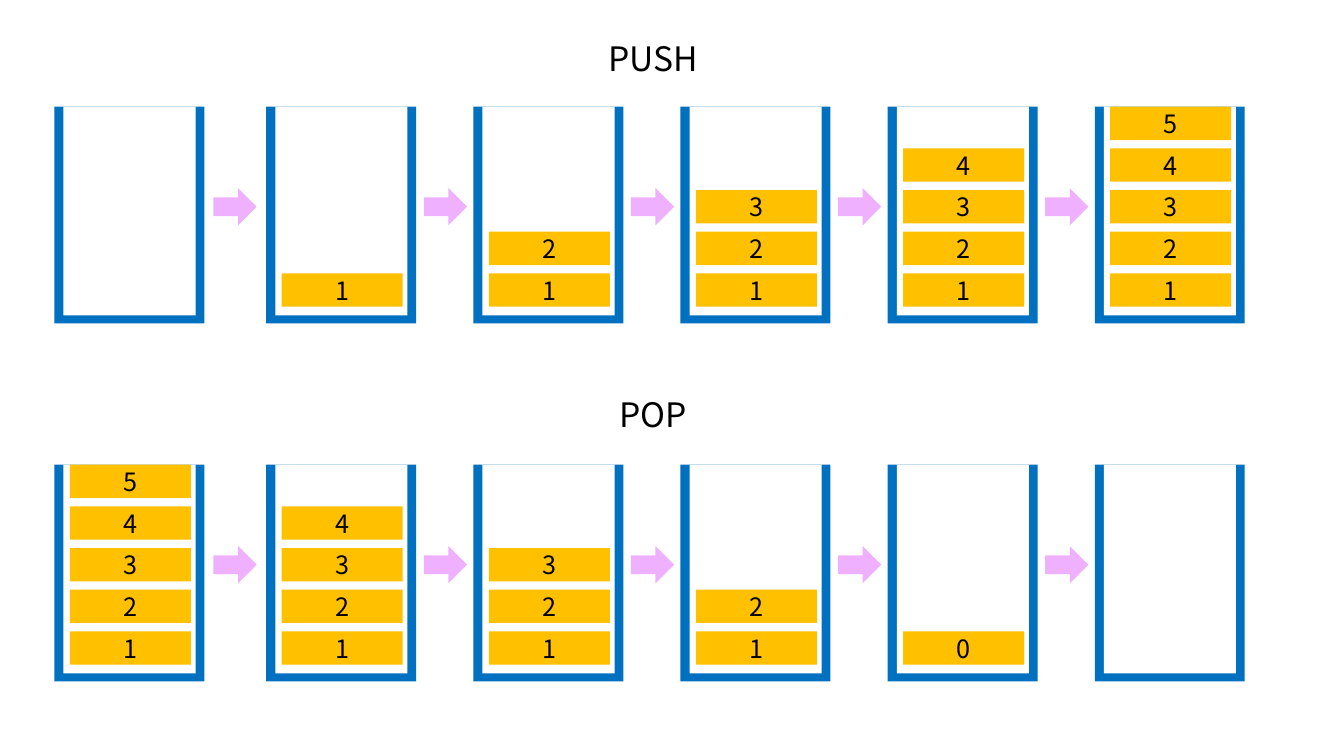
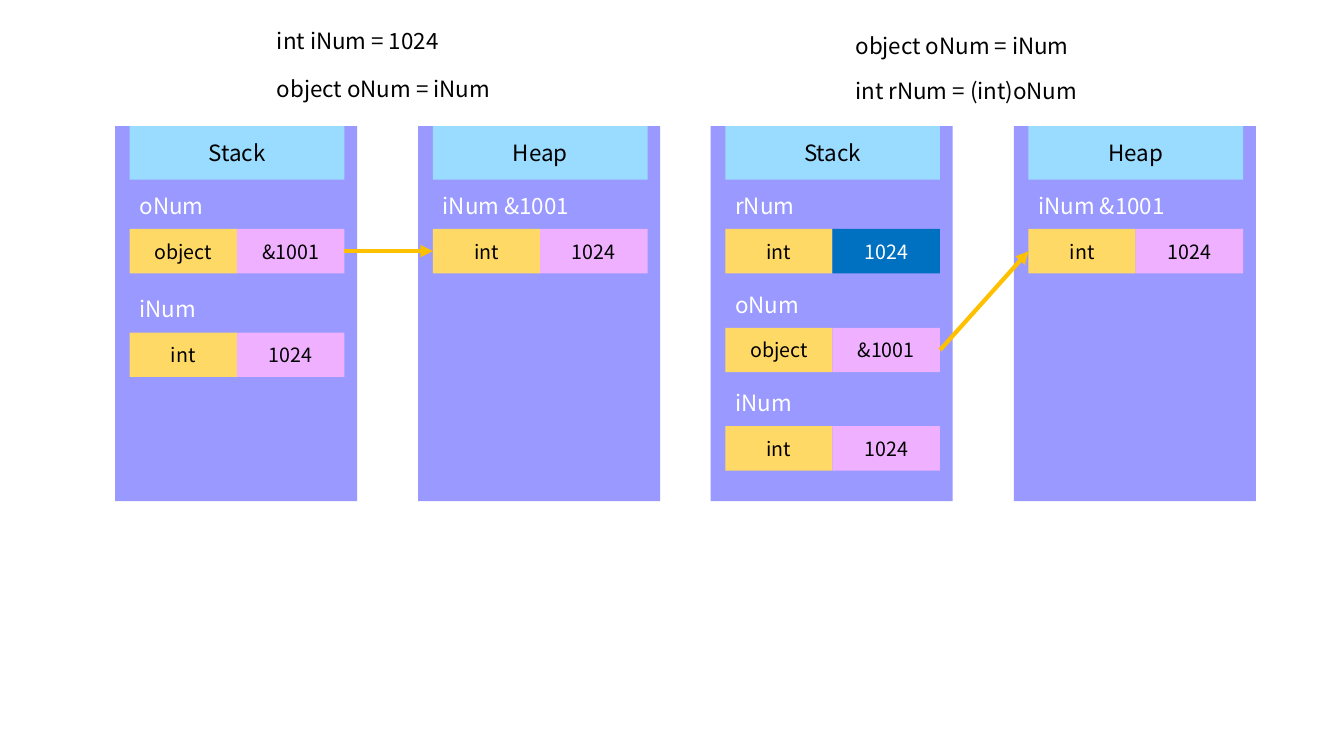
"""Build two slides: stack push and pop, then boxing and unboxing in memory."""
from lxml import etree
from pptx import Presentation
from pptx import util as u
from pptx.dml import color
from pptx.enum import shapes, text
from pptx.oxml import ns

FONT = "Noto Sans CJK KR"
BLACK, WHITE, BLUE = "000000", "FFFFFF", "0070C0"
AMBER, PINK, SAND = "FFC000", "EFB1FF", "FFD966"
LILAC, SKY = "9999FF", "9ADCFF"
RECT, ARROW = shapes.MSO_SHAPE.RECTANGLE, shapes.MSO_SHAPE.RIGHT_ARROW
LEFT, CENTER = text.PP_ALIGN.LEFT, text.PP_ALIGN.CENTER
rgb = color.RGBColor.from_string


def box(slide, x, y, w, h, fill=None, kind=RECT):
    place = [u.Cm(v) for v in (x, y, w, h)]
    if fill is None:
        return slide.shapes.add_textbox(*place)
    shape = slide.shapes.add_shape(kind, *place)
    shape.shadow.inherit = False
    shape.fill.solid()
    shape.fill.fore_color.rgb = rgb(fill)
    shape.line.fill.background()
    shape.text_frame.vertical_anchor = text.MSO_ANCHOR.MIDDLE
    return shape


def write(shape, words, size=16, ink=BLACK, align=CENTER):
    frame = shape.text_frame
    frame.word_wrap = True
    para = frame.paragraphs[0]
    para.alignment = align
    run = para.add_run()
    run.text = words
    run.font.name = FONT
    run.font.size = u.Pt(size)
    run.font.color.rgb = rgb(ink)


deck = Presentation()
deck.slide_width, deck.slide_height = u.Cm(33.87), u.Cm(19.05)
blank = deck.slide_layouts[6]

slide = deck.slides.add_slide(blank)
lefts = [1.37] + [6.71 + 5.22 * i for i in range(5)]
steps = [5.38] + [x - 1.25 for x in lefts[2:]]
stages = [
    ("PUSH", 0.84, 2.69, ["", "1", "12", "123", "1234", "12345"]),
    ("POP", 9.8, 11.71, ["12345", "1234", "123", "12", "0", ""]),
]
for title, head, top, stacks in stages:
    write(box(slide, 13.79, head, 5.33, 1.27), title, size=24)
    for x, stack in zip(lefts, stacks):
        box(slide, x, top, 3.78, 5.46, BLUE)
        box(slide, x + 0.23, top, 3.33, 5.26, WHITE)
        for i, item in enumerate(stack):
            block = box(slide, x + 0.39, top + 4.2 - 1.05 * i, 3.05, 0.84, AMBER)
            write(block, item, size=18)
    for x in steps:
        box(slide, x, top + 2.05, 1.09, 0.94, PINK, kind=ARROW)

slide = deck.slides.add_slide(blank)
codes = [
    (6.73, 0.56, "int iNum = 1024"),
    (6.73, 1.78, "object oNum = iNum"),
    (21.31, 0.69, "object oNum = iNum"),
    (21.31, 1.83, "int rNum = (int)oNum"),
]
for x, y, code in codes:
    write(box(slide, x, y, 6.91, 0.94), code, align=LEFT)

heap = [(5.77, "iNum &1001", "int", "1024", PINK)]
boxing = [
    (5.77, "oNum", "object", "&1001", PINK),
    (8.38, "iNum", "int", "1024", PINK),
]
unboxing = [
    (5.77, "rNum", "int", "1024", BLUE),
    (8.26, "oNum", "object", "&1001", PINK),
    (10.74, "iNum", "int", "1024", PINK),
]
panels = [
    (2.9, "Stack", boxing),
    (10.54, "Heap", heap),
    (17.91, "Stack", unboxing),
    (25.55, "Heap", heap),
]
for left, title, rows in panels:
    box(slide, left, 3.18, 6.1, 9.45, LILAC)
    x = left + 0.37
    write(box(slide, x, 3.18, 5.41, 1.35, SKY), title)
    for y, name, kind, value, fill in rows:
        write(box(slide, x, y - 1.06, 4.5, 0.94), name, ink=WHITE, align=LEFT)
        first = box(slide, x, y, 2.7, 1.12, SAND)
        write(first, kind, size=14)
        cell = box(slide, x + 2.7, y, 2.71, 1.12, fill)
        write(cell, value, size=14, ink=WHITE if fill == BLUE else BLACK)
        if value == "&1001":
            source = cell
    if title == "Heap":
        link = slide.shapes.add_connector(shapes.MSO_CONNECTOR.STRAIGHT, 0, 0, 0, 0)
        link.begin_connect(source, 3)
        link.end_connect(first, 1)
        link.line.color.rgb = rgb(AMBER)
        link.line.width = u.Pt(3)
        props = link._element.spPr
        tail = etree.SubElement(props.find(ns.qn("a:ln")), ns.qn("a:tailEnd"))
        tail.set("type", "triangle")
        etree.SubElement(props, ns.qn("a:effectLst"))

deck.save("out.pptx")
